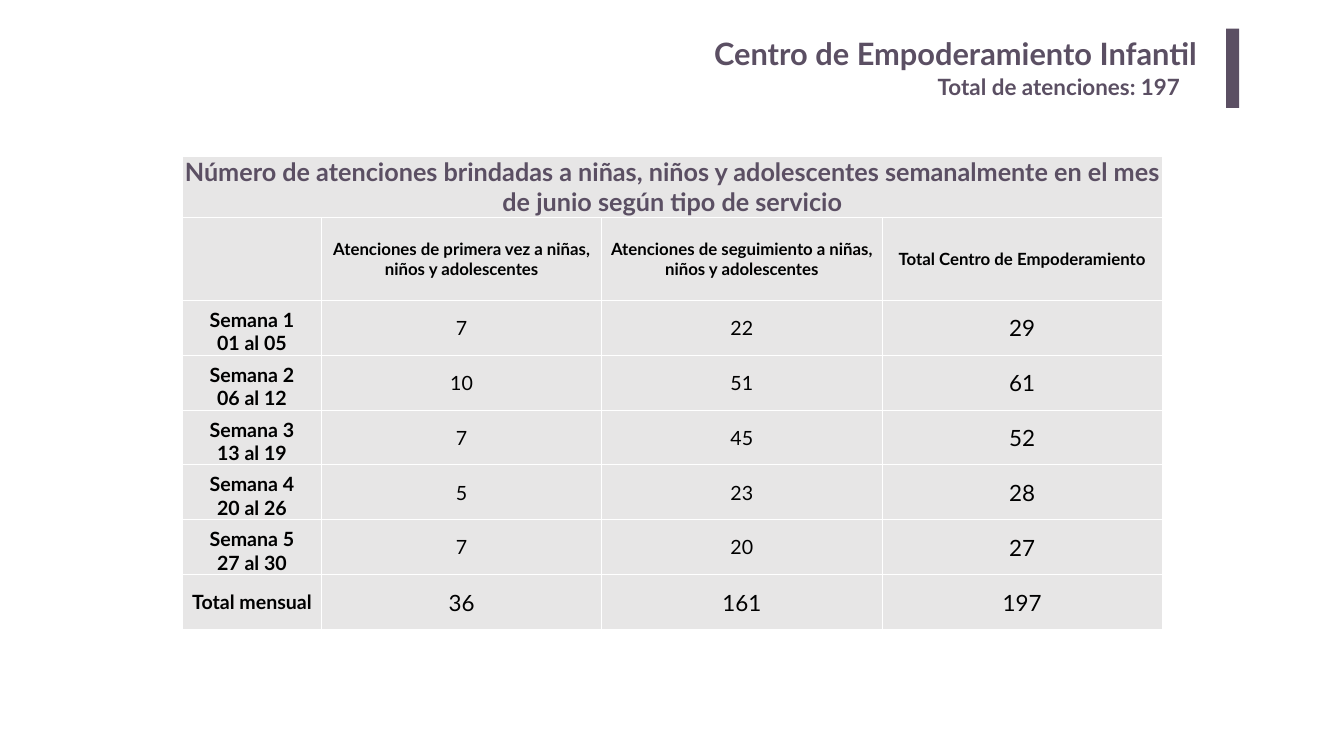
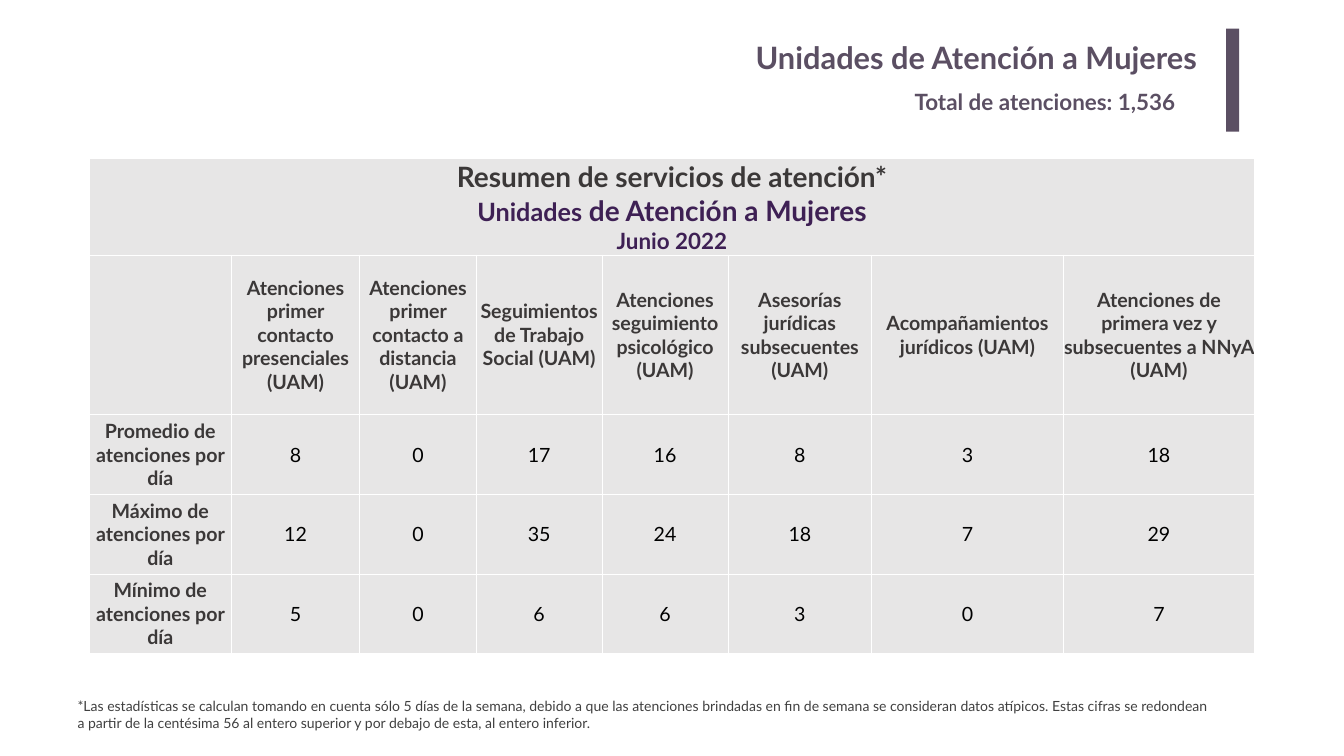
import dataclasses

import lxml.etree
import pptx
import pptx.dml.color
import pptx.enum.shapes
import pptx.enum.text
import pptx.oxml.ns
import pptx.util

ALIGN = pptx.enum.text.PP_ALIGN
ANCHOR = pptx.enum.text.MSO_ANCHOR


@dataclasses.dataclass(frozen=True)
class Theme:
    font: str = "Lato"
    plum: str = "5B4F63"
    grape: str = "3E2054"
    slate: str = "3B3838"
    note: str = "404040"
    black: str = "000000"
    panel: str = "E7E6E6"
    white: str = "FFFFFF"
    title: int = 44
    huge: int = 40
    large: int = 36
    sub: int = 32
    body: int = 28
    small: int = 24
    foot: int = 20


@dataclasses.dataclass
class Run:
    text: str
    size: int
    color: str
    bold: bool = True


def paint(fill, color):
    fill.solid()
    fill.fore_color.rgb = pptx.dml.color.RGBColor.from_string(color)


class Deck:
    """Places elements on a grid of 100 columns by 100 rows."""

    def __init__(self, theme):
        self.theme = theme
        self.show = pptx.Presentation()
        self.show.slide_width = pptx.util.Inches(26.67)
        self.show.slide_height = pptx.util.Inches(15)
        self.slide = None

    def col(self, count):
        return round(self.show.slide_width * count / 100)

    def row(self, count):
        return round(self.show.slide_height * count / 100)

    def place(self, x, y, w, h):
        return self.col(x), self.row(y), self.col(w), self.row(h)

    def page(self):
        self.slide = self.show.slides.add_slide(self.show.slide_layouts[6])

    def fill_text(self, frame, lines, align):
        """Each line is a list of runs and becomes one paragraph."""
        for i, line in enumerate(lines):
            para = frame.add_paragraph() if i else frame.paragraphs[0]
            para.alignment = align
            for item in line:
                for j, part in enumerate(item.text.split("\n")):
                    if j:
                        para.add_line_break()
                    run = para.add_run()
                    run.text = part
                    font = run.font
                    font.name = self.theme.font
                    font.size = pptx.util.Pt(item.size)
                    font.bold = item.bold
                    font.color.rgb = pptx.dml.color.RGBColor.from_string(item.color)

    def text(self, area, run, align=ALIGN.LEFT, inset=0.1):
        frame = self.slide.shapes.add_textbox(*self.place(*area)).text_frame
        frame.word_wrap = True
        frame.margin_left = frame.margin_right = pptx.util.Inches(inset)
        frame.margin_top = frame.margin_bottom = pptx.util.Inches(inset / 2)
        self.fill_text(frame, [[run]], align)

    def bar(self, area):
        kind = pptx.enum.shapes.MSO_SHAPE.RECTANGLE
        shape = self.slide.shapes.add_shape(kind, *self.place(*area))
        shape.shadow.inherit = False
        paint(shape.fill, self.theme.plum)
        shape.line.fill.background()

    def head(self, title, total, top, drop, left, tall):
        """Right-hand heading: title at top, total at drop, bar of height tall."""
        t = self.theme
        self.text((13.72, top, 76.12, 6.8), Run(title, t.title, t.plum),
                  ALIGN.RIGHT, 0.2)
        self.bar((91.23, 3.8, 0.97, tall))
        self.text((left, drop, 90.06 - left, 4.27),
                  Run(f"Total de atenciones: {total}", t.sub, t.plum))

    def edge(self, cell):
        props = cell._tc.get_or_add_tcPr()
        for i, side in enumerate(("lnL", "lnR", "lnT", "lnB")):
            line = lxml.etree.Element(pptx.oxml.ns.qn(f"a:{side}"), w="12700")
            fill = lxml.etree.SubElement(line, pptx.oxml.ns.qn("a:solidFill"))
            lxml.etree.SubElement(fill, pptx.oxml.ns.qn("a:srgbClr"),
                                  val=self.theme.white)
            props.insert(i, line)

    def table(self, x, y, cols, rows):
        area = self.place(x, y, sum(cols), sum(rows))
        grid = self.slide.shapes.add_table(len(rows), len(cols), *area).table
        grid.first_row = grid.horz_banding = False
        for part, wide in zip(grid.columns, cols):
            part.width = self.col(wide)
        for part, tall in zip(grid.rows, rows):
            part.height = self.row(tall)
        for cell in grid.iter_cells():
            paint(cell.fill, self.theme.panel)
            self.edge(cell)
        grid.cell(0, 0).merge(grid.cell(0, len(cols) - 1))
        return grid

    def cell(self, cell, *lines, pad=0.04, anchor=ANCHOR.MIDDLE):
        cell.margin_left = cell.margin_right = cell.margin_top = self.col(pad)
        cell.margin_bottom = 0
        cell.vertical_anchor = anchor
        self.fill_text(cell.text_frame, lines, ALIGN.CENTER)


def centre(deck):
    t = deck.theme
    deck.page()
    deck.head("Centro de Empoderamiento Infantil", "197", 3.87, 9.4, 69.4, 10.47)
    weeks = [
        ("Semana 1\n01 al 05", 7, 22),
        ("Semana 2\n06 al 12", 10, 51),
        ("Semana 3\n13 al 19", 7, 45),
        ("Semana 4\n20 al 26", 5, 23),
        ("Semana 5\n27 al 30", 7, 20),
    ]
    heads = [
        "Atenciones de primera vez a niñas, niños y adolescentes",
        "Atenciones de seguimiento a niñas, niños y adolescentes",
        "Total Centro de Empoderamiento",
    ]
    sums = [sum(week[i] for week in weeks) for i in (1, 2)]
    grid = deck.table(13.57, 20.67, [10.35] + [20.85] * 3,
                      [7.27, 10.93] + [7.27] * 6)
    deck.cell(grid.cell(0, 0), [Run(
        "Número de atenciones brindadas a niñas, niños y adolescentes "
        "semanalmente en el mes de junio según tipo de servicio",
        t.large, t.plum)])
    for c, name in enumerate(heads, 1):
        deck.cell(grid.cell(1, c), [Run(name, t.small, t.black)])
    for r, (name, first, later) in enumerate(weeks + [("Total mensual", *sums)], 2):
        last = r == len(weeks) + 2
        deck.cell(grid.cell(r, 0), [Run(name, t.body, t.black)],
                  anchor=ANCHOR.MIDDLE if last else ANCHOR.BOTTOM)
        for c, count in enumerate((first, later, first + later), 1):
            size = t.sub if last or c == 3 else t.body
            deck.cell(grid.cell(r, c), [Run(str(count), size, t.black, False)])


def units(deck):
    t = deck.theme
    deck.page()
    heads = [
        "Atenciones primer contacto presenciales (UAM)",
        "Atenciones primer contacto a distancia (UAM)",
        "Seguimientos de Trabajo Social (UAM)",
        "Atenciones seguimiento psicológico (UAM)",
        "Asesorías jurídicas subsecuentes (UAM)",
        "Acompañamientos jurídicos (UAM)",
        "Atenciones de primera vez y subsecuentes a NNyA (UAM)",
    ]
    stats = [
        ("Promedio", 8, 0, 17, 16, 8, 3, 18),
        ("Máximo", 12, 0, 35, 24, 18, 7, 29),
        ("Mínimo", 5, 0, 6, 6, 3, 0, 7),
    ]
    grid = deck.table(6.64, 21,
                      [10.57, 9.56, 8.66, 9.37, 9.37, 10.69, 14.25, 14.25],
                      [12.73, 21.13] + [10.53] * 3)
    deck.cell(grid.cell(0, 0),
              [Run("Resumen de servicios de atención*", t.huge, t.slate)],
              [Run("Unidades", t.large, t.grape),
               Run(" de Atención a Mujeres", t.huge, t.grape)],
              [Run("Junio 2022", t.sub, t.grape)], pad=0)
    for c, name in enumerate(heads, 1):
        deck.cell(grid.cell(1, c), [Run(name, t.body, t.slate)], pad=0)
    for r, (name, *counts) in enumerate(stats, 2):
        label = Run(f"{name} de atenciones por día", t.body, t.slate)
        deck.cell(grid.cell(r, 0), [label], pad=0)
        for c, count in enumerate(counts, 1):
            deck.cell(grid.cell(r, c), [Run(str(count), t.body, t.black, False)])
    deck.text((5.4, 91.93, 85.38, 5.13), Run(
        "*Las estadísticas se calculan tomando en cuenta sólo 5 días de la semana, "
        "debido a que las atenciones brindadas en fin de semana se consideran datos "
        "atípicos. Estas cifras se redondean a partir de la centésima 56 al entero "
        "superior y por debajo de esta, al entero inferior.",
        t.foot, t.note, False))
    deck.head("Unidades de Atención a Mujeres", "1,536", 4.47, 11.27, 67.68, 13.6)


def main():
    deck = Deck(Theme())
    centre(deck)
    units(deck)
    deck.show.save("out.pptx")


if __name__ == "__main__":
    main()
